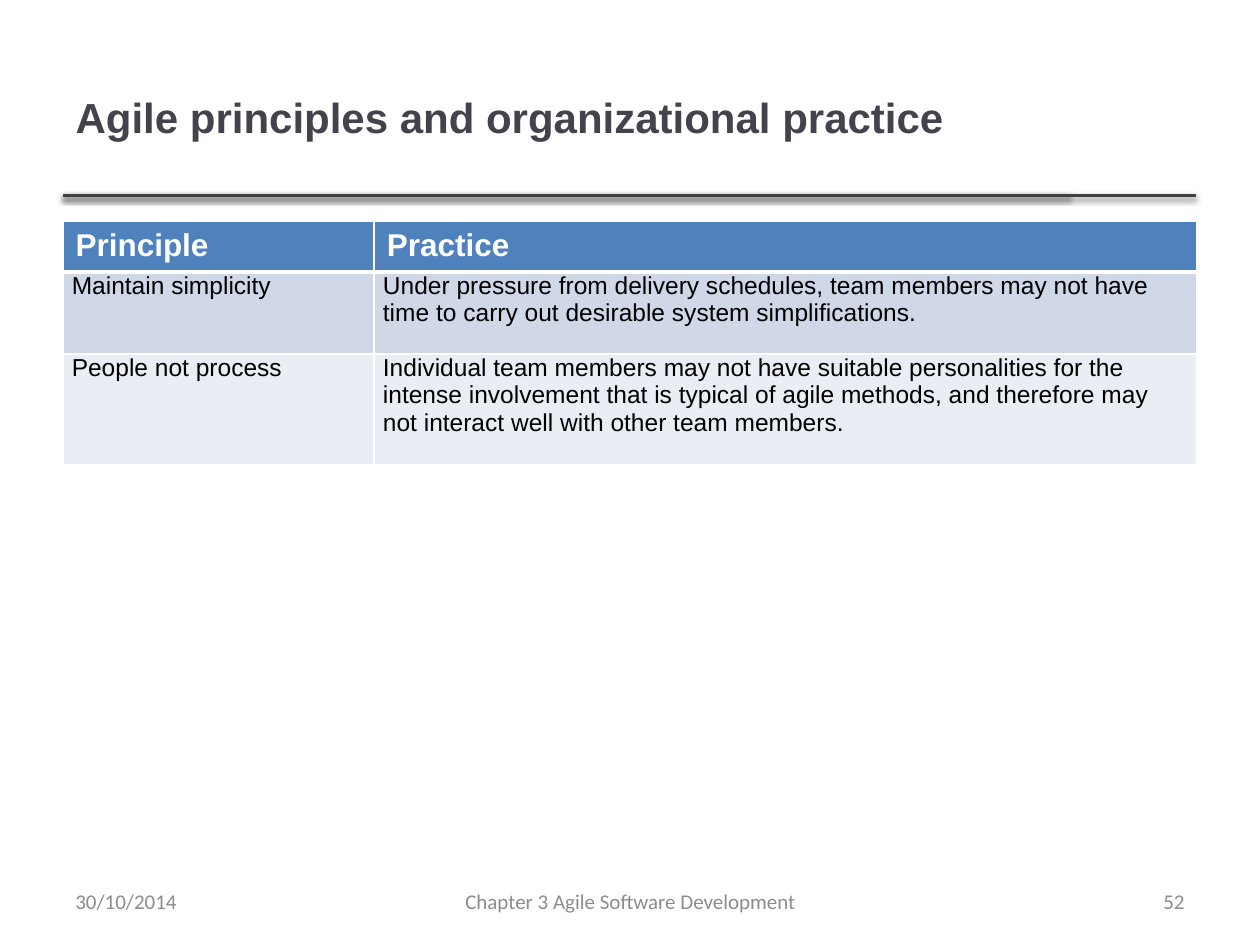
from pptx import Presentation
from pptx.dml.color import RGBColor
from pptx.enum.shapes import MSO_CONNECTOR as Link
from pptx.enum.text import MSO_ANCHOR as Anchor, PP_ALIGN as Align
from pptx.oxml import parse_xml
from pptx.oxml.ns import nsdecls
from pptx.util import Inches, Pt

TITLE = "Agile principles and organizational practice"
ROWS = [
    ("Principle", "Practice"),
    ("Maintain simplicity",
     "Under pressure from delivery schedules, team members may not have time "
     "to carry out desirable system simplifications."),
    ("People not process",
     "Individual team members may not have suitable personalities for the "
     "intense involvement that is typical of agile methods, and therefore may "
     "not interact well with other team members."),
]
FOOT = [
    ("30/10/2014", 0.5, 2.33, Align.LEFT),
    ("Chapter 3 Agile Software Development", 3.42, 3.17, Align.CENTER),
    ("52", 7.17, 2.33, Align.RIGHT),
]

INK = RGBColor(0x46, 0x42, 0x4D)
RULE = RGBColor(0x40, 0x40, 0x40)
GRAY = RGBColor(0x8C, 0x8C, 0x8C)
BLACK = RGBColor(0, 0, 0)
WHITE = RGBColor(0xFF, 0xFF, 0xFF)
BANDS = [RGBColor(0x4F, 0x81, 0xBD), RGBColor(0xD0, 0xD8, 0xE8),
         RGBColor(0xE9, 0xED, 0xF4)]

WIDE, HIGH = 10, 7.5
LEFT = WIDE * 0.05
SPAN = WIDE - 2 * LEFT
COLS = (2.47, 6.53)
TALL = (0.4, 0.65, 0.88)


def write(frame, text, size, color, font="Arial", bold=False, align=Align.LEFT):
    """Put one formatted paragraph in a text frame."""
    frame.word_wrap = True
    par = frame.paragraphs[0]
    par.alignment = align
    run = par.add_run()
    run.text = text
    face = run.font
    face.name, face.size, face.bold = font, Pt(size), bold
    face.color.rgb = color


def rule(slide, end, top):
    """Draw a horizontal line with a soft shadow below it."""
    line = slide.shapes.add_connector(
        Link.STRAIGHT, Inches(LEFT), Inches(top), Inches(end), Inches(top))
    line.line.color.rgb = RULE
    line.line.width = Pt(2)
    line.element.spPr.append(parse_xml(
        f'<a:effectLst {nsdecls("a")}><a:outerShdw blurRad="{Pt(3.1)}" '
        f'dist="{Pt(1.6)}" dir="5400000" rotWithShape="0">'
        '<a:srgbClr val="000000"><a:alpha val="38000"/></a:srgbClr>'
        '</a:outerShdw></a:effectLst>'))


def edge(cell, sides):
    """Give a cell white borders of the given point widths."""
    props = cell._tc.get_or_add_tcPr()
    for side, width in sides.items():
        props.append(parse_xml(
            f'<a:ln{side} {nsdecls("a")} w="{Pt(width)}"><a:solidFill>'
            f'<a:srgbClr val="{WHITE}"/></a:solidFill></a:ln{side}>'))


def grid(slide):
    """Build the table of principles and practices."""
    table = slide.shapes.add_table(
        len(ROWS), len(COLS), Inches(LEFT), Inches(1.76),
        Inches(SPAN), Inches(sum(TALL))).table
    for col, width in zip(table.columns, COLS):
        col.width = Inches(width)
    for r, texts in enumerate(ROWS):
        table.rows[r].height = Inches(TALL[r])
        head = r == 0
        for c, text in enumerate(texts):
            cell = table.cell(r, c)
            if not head:
                cell.margin_left = cell.margin_right = Inches(0.07)
                cell.margin_top = cell.margin_bottom = 0
            edge(cell, {"L": 1, "R": 1, "T": 3 if r == 1 else 1,
                        "B": 3 if head else 1})
            cell.fill.solid()
            cell.fill.fore_color.rgb = BANDS[r]
            write(cell.text_frame, text, 18 if head else 14,
                  WHITE if head else BLACK, bold=head)


def main():
    """Build and save the slide."""
    deck = Presentation()
    deck.slide_width, deck.slide_height = Inches(WIDE), Inches(HIGH)
    slide = deck.slides.add_slide(deck.slide_layouts[5])
    for end in (8.49, 9.49):
        rule(slide, end, 1.55)
    title = slide.shapes.title
    title.left, title.top = Inches(LEFT), Inches(0.3)
    title.width, title.height = Inches(7.98), Inches(1.25)
    title.text_frame.vertical_anchor = Anchor.MIDDLE
    write(title.text_frame, TITLE, 24, INK, bold=True)
    grid(slide)
    for text, left, width, align in FOOT:
        box = slide.shapes.add_textbox(
            Inches(left), Inches(6.95), Inches(width), Inches(0.4))
        box.text_frame.vertical_anchor = Anchor.MIDDLE
        write(box.text_frame, text, 12, GRAY, font="Calibri", align=align)
    deck.save("out.pptx")


if __name__ == "__main__":
    main()
